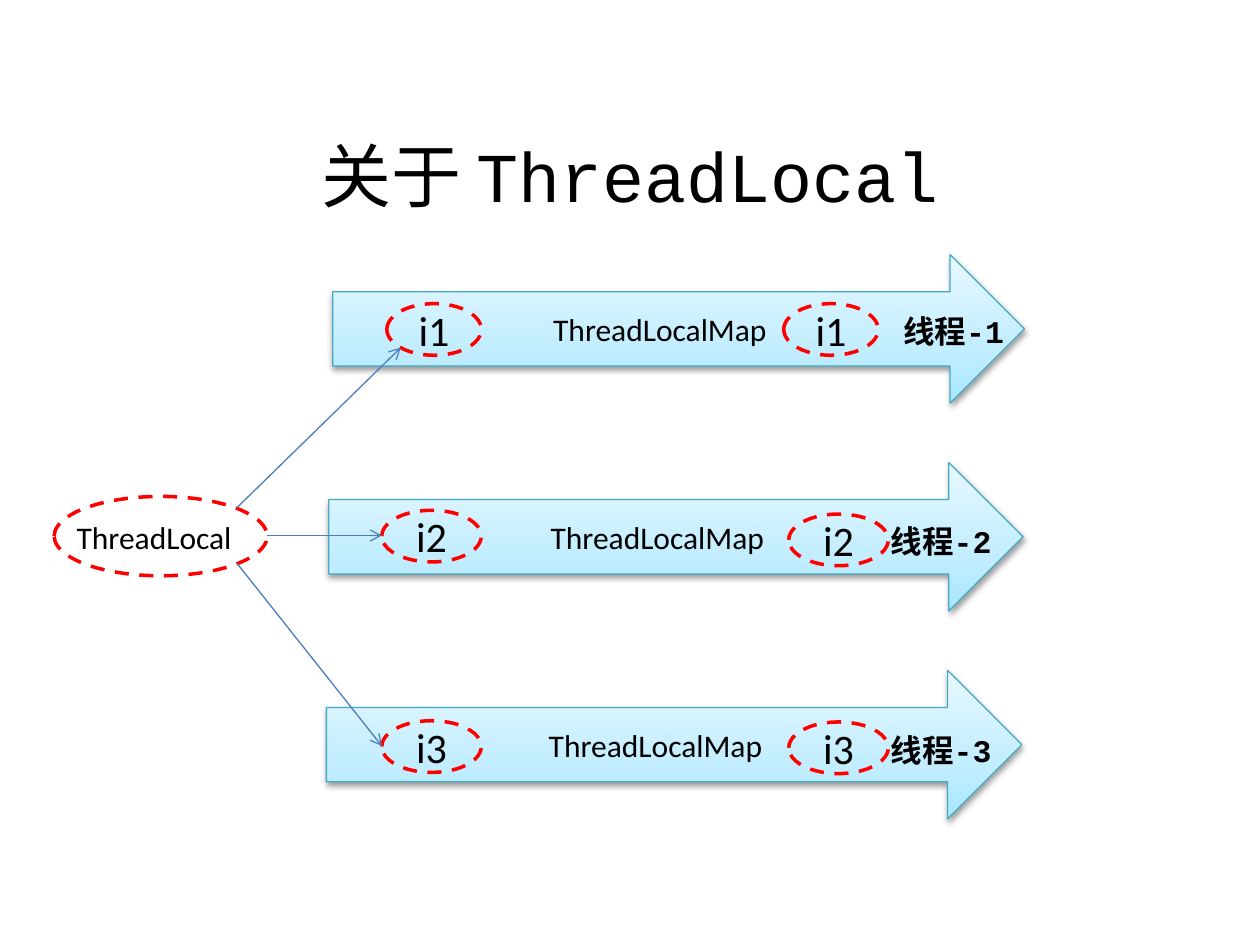
from dataclasses import dataclass

from lxml import etree
from pptx import Presentation
from pptx.dml.color import RGBColor
from pptx.enum.dml import MSO_LINE
from pptx.enum.shapes import MSO_CONNECTOR, MSO_SHAPE
from pptx.enum.text import MSO_ANCHOR, MSO_AUTO_SIZE, PP_ALIGN
from pptx.oxml import parse_xml
from pptx.oxml.ns import nsdecls, qn
from pptx.util import Inches, Pt

ARROW, ELLIPSE = MSO_SHAPE.RIGHT_ARROW, MSO_SHAPE.OVAL
STRAIGHT, DASH = MSO_CONNECTOR.STRAIGHT, MSO_LINE.DASH
LEFT, CENTER = PP_ALIGN.LEFT, PP_ALIGN.CENTER
TOP, MIDDLE = MSO_ANCHOR.TOP, MSO_ANCHOR.MIDDLE

SANS, MONO = "Calibri", "Courier New"
BLACK, RED, TEAL, BLUE = "000000", "FF0000", "46AAC5", "4B7EBC"
GRADIENT = ((0, "A7E6FF"), (35, "C1EDFF"), (100, "E7F8FF"))

ARROW_HEIGHT, ARROW_TOP, ARROW_PITCH = 1.18, 2.02, 1.65
COPY_HEIGHT = 0.41


@dataclass
class ThreadRow:
    """One thread with its two views of the thread-local value (inches)."""
    number: int
    arrow_left: float
    arrow_width: float
    label_left: float
    label_top: float
    copy_width: float
    first_copy: tuple[float, float]
    second_copy: tuple[float, float]
    link_start: tuple[float, float]
    link_end: tuple[float, float]


THREADS = [
    ThreadRow(1, 2.64, 5.49, 7.07, 2.43, 0.75, (3.07, 2.41), (6.22, 2.41),
              (1.88, 4.03), (3.18, 2.76)),
    ThreadRow(2, 2.61, 5.51, 6.97, 4.09, 0.79, (3.03, 4.05), (6.26, 4.08),
              (2.12, 4.25), (3.03, 4.25)),
    ThreadRow(3, 2.59, 5.52, 6.97, 5.75, 0.79, (3.03, 5.72), (6.26, 5.73),
              (1.88, 4.47), (3.03, 5.92)),
]


def color(value: str) -> RGBColor:
    return RGBColor.from_string(value)


def write(frame, text: str, *, size: float = 18, font: str = SANS,
          bold: bool = False, align=CENTER, anchor=MIDDLE) -> None:
    frame.word_wrap = True
    frame.vertical_anchor = anchor
    paragraph = frame.paragraphs[0]
    paragraph.alignment = align
    run = paragraph.add_run()
    run.text = text
    run.font.size = Pt(size)
    run.font.name = font
    run.font.bold = bold
    run.font.color.rgb = color(BLACK)


def add_label(slide, text: str, left: float, top: float, width: float,
              **text_format) -> None:
    label = slide.shapes.add_textbox(*map(Inches, (left, top, width, 0.4)))
    write(label.text_frame, text, align=LEFT, anchor=TOP, **text_format)
    label.text_frame.auto_size = MSO_AUTO_SIZE.SHAPE_TO_FIT_TEXT


def add_thread_arrow(slide, left: float, top: float, width: float) -> None:
    arrow = slide.shapes.add_shape(
        ARROW, *map(Inches, (left, top, width, ARROW_HEIGHT)))
    arrow.line.color.rgb = color(TEAL)
    arrow.line.width = Pt(0.75)
    # Three-stop gradient, running upward
    stops = "".join(
        f'<a:gs pos="{pos * 1000}"><a:srgbClr val="{rgb}"/></a:gs>'
        for pos, rgb in GRADIENT)
    properties = arrow.line._get_or_add_ln().getparent()
    arrow.line._get_or_add_ln().addprevious(parse_xml(
        f'<a:gradFill {nsdecls("a")} rotWithShape="1"><a:gsLst>{stops}</a:gsLst>'
        '<a:lin ang="16200000" scaled="0"/></a:gradFill>'))
    # Soft shadow below
    properties.append(parse_xml(
        f'<a:effectLst {nsdecls("a")}><a:outerShdw blurRad="{Pt(3.1)}" '
        f'dist="{Pt(1.6)}" dir="5400000" rotWithShape="0">'
        f'<a:srgbClr val="{BLACK}"><a:alpha val="38000"/></a:srgbClr>'
        '</a:outerShdw></a:effectLst>'))
    write(arrow.text_frame, "ThreadLocalMap")


def add_dashed_ellipse(slide, left: float, top: float, width: float,
                       height: float, text: str = "") -> None:
    ellipse = slide.shapes.add_shape(
        ELLIPSE, *map(Inches, (left, top, width, height)))
    ellipse.shadow.inherit = False
    ellipse.fill.background()
    ellipse.line.color.rgb = color(RED)
    ellipse.line.width = Pt(2)
    ellipse.line.dash_style = DASH
    if text:
        write(ellipse.text_frame, text, size=24)


def add_link(slide, start: tuple[float, float], end: tuple[float, float]) -> None:
    link = slide.shapes.add_connector(STRAIGHT, *map(Inches, (*start, *end)))
    link.line.color.rgb = color(BLUE)
    link.line.width = Pt(0.75)
    line = link.line._get_or_add_ln()
    etree.SubElement(line, qn("a:tailEnd"), type="arrow")
    etree.SubElement(line.getparent(), qn("a:effectLst"))


def main() -> None:
    deck = Presentation()
    deck.slide_width, deck.slide_height = Inches(10), Inches(7.5)
    slide = deck.slides.add_slide(deck.slide_layouts[5])

    # Title
    title = slide.shapes.title
    title.left, title.top, title.width, title.height = map(
        Inches, (0.5, 0.76, 9, 1.25))
    write(title.text_frame, "关于 ThreadLocal", size=40, font=MONO)

    # Threads and their names
    for row, thread in enumerate(THREADS):
        add_thread_arrow(slide, thread.arrow_left,
                         ARROW_TOP + row * ARROW_PITCH, thread.arrow_width)
    for thread in THREADS:
        add_label(slide, f"线程-{thread.number}", thread.label_left,
                  thread.label_top, 1.12, font=MONO, bold=True)

    # Shared ThreadLocal
    add_label(slide, "ThreadLocal", 0.51, 4.06, 1.5)
    add_dashed_ellipse(slide, 0.43, 3.94, 1.69, 0.63)

    # Value held by each thread, linked to the ThreadLocal
    for thread in THREADS:
        for left, top in (thread.first_copy, thread.second_copy):
            add_dashed_ellipse(slide, left, top, thread.copy_width,
                               COPY_HEIGHT, f"i{thread.number}")
        add_link(slide, thread.link_start, thread.link_end)

    deck.save("out.pptx")


if __name__ == "__main__":
    main()
